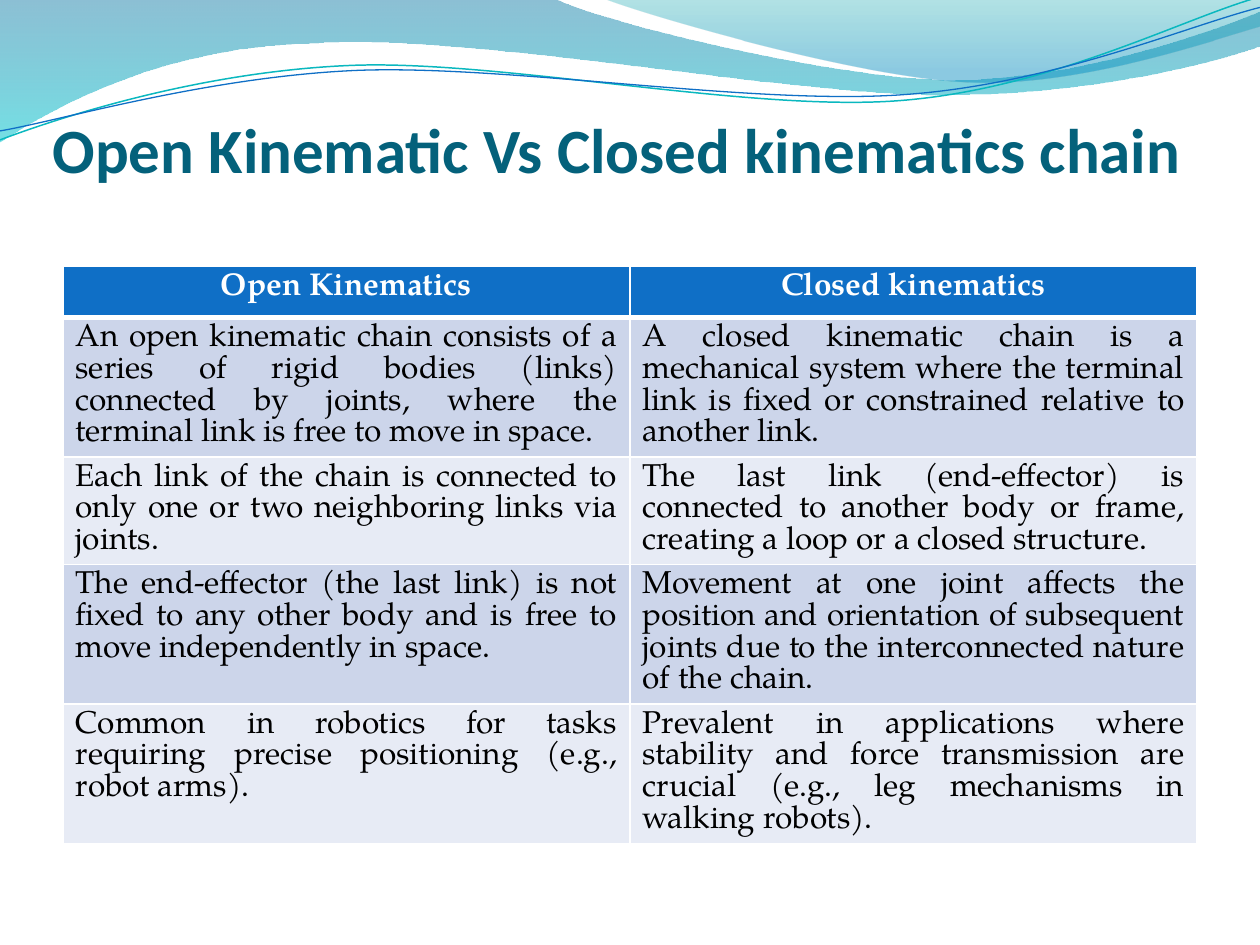
import math
import pptx
import pptx.util
import pptx.dml.color
import pptx.enum.text
import pptx.oxml.ns
from lxml import etree

Cm, Pt = pptx.util.Cm, pptx.util.Pt
RGB = pptx.dml.color.RGBColor.from_string
ALIGN, ANCHOR = pptx.enum.text.PP_ALIGN, pptx.enum.text.MSO_ANCHOR
qn = pptx.oxml.ns.qn

COLORS = {
    "title": "04617B", "header": "0F6FC6", "band_dark": "CCD5EA",
    "band_light": "E7EBF5", "white": "FFFFFF", "black": "000000",
    "deep_blue": "0074A1", "aqua": "00C6CF", "teal": "00A1A9",
    "sky": "008BBF", "line_teal": "0AB8BF", "line_blue": "0F6FC6",
}

prs = pptx.Presentation()
prs.slide_width, prs.slide_height = Cm(25.4), Cm(19.05)
s = prs.slides.add_slide(prs.slide_layouts[5])


def add_wave(start, moves, close):
    """Outline in cm: a 2-tuple is a straight line, a 6-tuple a Bezier curve."""
    pts = [start] + [m[i:i + 2] for m in moves for i in range(0, len(m), 2)]
    pts = [(Cm(x), Cm(y)) for x, y in pts]
    fb = s.shapes.build_freeform(*pts[0])
    fb.add_line_segments(pts[1:], close=close)
    sp = fb.convert_to_shape()
    sp.shadow.inherit = False
    # Join each curve's three points into one Bezier segment
    segments = iter(list(sp._element.iter(qn("a:lnTo"))))
    for m in moves:
        first = next(segments)
        if len(m) == 6:
            curve = etree.Element(qn("a:cubicBezTo"))
            first.addprevious(curve)
            for seg in (first, next(segments), next(segments)):
                curve.append(seg[0])
                seg.getparent().remove(seg)
    return sp


# Filled waves: start, moves, gradient stops (position, colour, opacity %)
waves = [
    ((0, 0),
     [(11.18, -0.03), (12.09, 0.43, 16.87, 1.6, 19.25, 1.6),
      (21.67, 1.6, 24.33, 0.66, 25.4, 0.23), (25.43, 0.91),
      (24.97, 1.12, 22.1, 1.93, 18.95, 1.91),
      (15.8, 1.91, 9.7, 0.71, 6.53, 0.86),
      (3.28, 0.91, 1.17, 2.11, -0.03, 2.87)],
     [(0, "deep_blue", 45), (1, "aqua", 55)]),
    ((12.17, -0.03),
     [(12.93, 0.28, 17.32, 1.57, 19.53, 1.65),
      (21.74, 1.75, 24.41, 0.81, 25.4, 0.53), (25.4, 0)],
     [(0, "teal", 30), (0.8, "sky", 45)]),
]
for start, moves, stops in waves:
    sp = add_wave(start, moves, True)
    sp.line.fill.background()
    sp.fill.gradient()
    sp.fill.gradient_angle = 270
    for stop, (pos, color, _) in zip(sp.fill.gradient_stops, stops):
        stop.position = pos
        stop.color.rgb = RGB(COLORS[color])
    for clr, (_, _, opacity) in zip(sp._element.spPr.iter(qn("a:srgbClr")), stops):
        etree.SubElement(clr, qn("a:alpha"), val=str(opacity * 1000))

# Thin wave lines, tilted about their centres
TILT = 2.7
cos, sin = math.cos(math.radians(TILT)), math.sin(math.radians(TILT))
wave_lines = [
    ((12.67, 1.46),
     [(0, 2.82), (1.22, 2.36, 4.01, 1.45, 7.04, 1.32),
      (10.03, 1.19, 15.06, 2.26, 18.11, 2.03),
      (21.16, 1.8, 23.83, 0.38, 25.35, -0.05)], "line_teal", 0.85),
    ((12.69, 1.5),
     [(0, 2.64), (1.19, 2.44, 4.17, 1.55, 7.19, 1.42),
      (10.24, 1.3, 15.16, 2.13, 18.21, 1.91),
      (21.23, 1.7, 23.9, 0.53, 25.4, 0.15)], "line_blue", 0.75),
]
for (cx, cy), moves, color, width in wave_lines:
    level = []
    for m in moves:
        flat = ()
        for x, y in zip(m[::2], m[1::2]):
            dx, dy = x - cx, y - cy
            flat += (cx + dx * cos - dy * sin, cy + dx * sin + dy * cos)
        level.append(flat)
    sp = add_wave(level[0], level[1:], False)
    sp.rotation = 360 - TILT
    sp.fill.background()
    sp.line.color.rgb = RGB(COLORS[color])
    sp.line.width = Pt(width)

# Title, in front of the waves
title = s.shapes.title
s.shapes._spTree.append(title._element)
title.left, title.top, title.width, title.height = Cm(1.06), Cm(1.27), Cm(23.29), Cm(2.49)
tf = title.text_frame
tf.text = "Open Kinematic Vs Closed kinematics chain"
tf.word_wrap = True
tf.auto_size = pptx.enum.text.MSO_AUTO_SIZE.NONE
tf.vertical_anchor = ANCHOR.BOTTOM
tf.margin_left = tf.margin_right = tf.margin_bottom = 0
tf.margin_top = Cm(0.13)
p = tf.paragraphs[0]
p.alignment = ALIGN.LEFT
p.font.name, p.font.size, p.font.bold = "Calibri", Pt(36), True
p.font.color.rgb = RGB(COLORS["title"])

# Comparison table; rows grow to fit their text
rows = [
    ("Open Kinematics", "Closed kinematics"),
    ("An open kinematic chain consists of a series of rigid bodies (links) connected by "
     "joints, where the terminal link is free to move in space.",
     "A closed kinematic chain is a mechanical system where the terminal link is fixed or "
     "constrained relative to another link."),
    ("Each link of the chain is connected to only one or two neighboring links via joints.",
     "The last link (end-effector) is connected to another body or frame, creating a loop "
     "or a closed structure."),
    ("The end-effector (the last link) is not fixed to any other body and is free to move "
     "independently in space.",
     "Movement at one joint affects the position and orientation of subsequent joints due "
     "to the interconnected nature of the chain."),
    ("Common in robotics for tasks requiring precise positioning (e.g., robot arms).",
     "Prevalent in applications where stability and force transmission are crucial (e.g., "
     "leg mechanisms in walking robots)."),
]
frame = s.shapes.add_table(len(rows), 2, Cm(1.27), Cm(5.37), Cm(22.86), Cm(5.2))
table = frame.table
for i, texts in enumerate(rows):
    table.rows[i].height = Cm(1.03)
    head = i == 0
    fill = "header" if head else ("band_dark" if i % 2 else "band_light")
    for j, text in enumerate(texts):
        cell = table.cell(i, j)
        tcPr = cell._tc.get_or_add_tcPr()
        for side in ("L", "R", "T", "B"):
            thick = (head and side == "B") or (i == 1 and side == "T")
            ln = etree.SubElement(tcPr, qn("a:ln" + side), w=str(Pt(3 if thick else 1)))
            solid = etree.SubElement(ln, qn("a:solidFill"))
            etree.SubElement(solid, qn("a:srgbClr"), val=COLORS["white"])
        cell.fill.solid()
        cell.fill.fore_color.rgb = RGB(COLORS[fill])
        cell.text = text
        p = cell.text_frame.paragraphs[0]
        p.alignment = ALIGN.CENTER if head else ALIGN.JUSTIFY
        p.font.name, p.font.size, p.font.bold = "TeX Gyre Pagella", Pt(18), head
        p.font.color.rgb = RGB(COLORS["white" if head else "black"])
frame.height = Cm(12.73)

prs.save("out.pptx")
